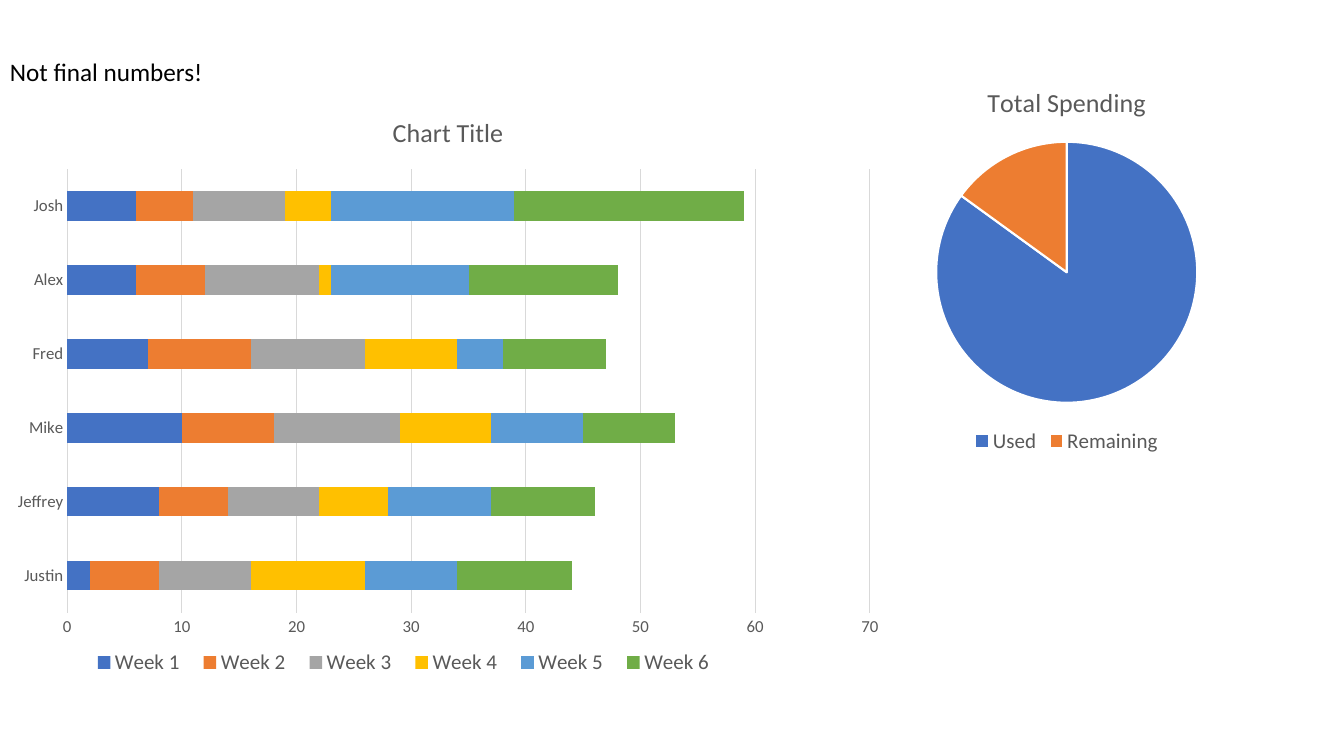
from lxml import etree
from pptx import Presentation
from pptx.chart.data import CategoryChartData
from pptx.dml.color import RGBColor
from pptx.enum.chart import XL_CHART_TYPE, XL_LEGEND_POSITION, XL_TICK_MARK
from pptx.enum.text import MSO_AUTO_SIZE
from pptx.oxml.ns import qn
from pptx.util import Inches, Pt

BAR_STACKED = XL_CHART_TYPE.BAR_STACKED
PIE = XL_CHART_TYPE.PIE
BOTTOM = XL_LEGEND_POSITION.BOTTOM
NO_TICKS = XL_TICK_MARK.NONE
FIT_TEXT = MSO_AUTO_SIZE.SHAPE_TO_FIT_TEXT

FONT = "Calibri"
COLORS = {
    "text": "000000",
    "label": "595959",
    "grid": "D9D9D9",
    "border": "FFFFFF",
    "blue": "4472C4",
    "orange": "ED7D31",
    "gray": "A5A5A5",
    "gold": "FFC000",
    "sky": "5B9BD5",
    "green": "70AD47",
}
PALETTE = ["blue", "orange", "gray", "gold", "sky", "green"]

PEOPLE = ["Justin", "Jeffrey", "Mike", "Fred", "Alex", "Josh"]
WEEKS = {
    "Week 1": [2, 8, 10, 7, 6, 6],
    "Week 2": [6, 6, 8, 9, 6, 5],
    "Week 3": [8, 8, 11, 10, 10, 8],
    "Week 4": [10, 6, 8, 8, 1, 4],
    "Week 5": [8, 9, 8, 4, 12, 16],
    "Week 6": [10, 9, 8, 9, 13, 20],
}
SPENDING = {"Total Spending": [85, 15]}


def rgb(name):
    return RGBColor.from_string(COLORS[name])


def style_font(font, size, color="label"):
    font.name = FONT
    font.size = Pt(size)
    font.bold = False
    font.color.rgb = rgb(color)


def fill_solid(part, color):
    part.format.fill.solid()
    part.format.fill.fore_color.rgb = rgb(color)


def style_line(line, color, width):
    line.color.rgb = rgb(color)
    line.width = Pt(width)


def add_chart(slide, kind, box, title, categories, series):
    data = CategoryChartData()
    data.categories = categories
    for name, values in series.items():
        data.add_series(name, values)
    chart = slide.shapes.add_chart(kind, *map(Inches, box), data).chart
    style_font(chart.font, 10, "text")
    chart.has_title = True
    title_run = chart.chart_title.text_frame.paragraphs[0].add_run()
    title_run.text = title
    style_font(title_run.font, 18.6)
    chart.chart_title.include_in_layout = False
    chart.has_legend = True
    chart.legend.position = BOTTOM
    chart.legend.include_in_layout = False
    style_font(chart.legend.font, 15)
    return chart


def place_legend(chart, left, top, width, height):
    legend = chart.legend._element
    for old in legend.findall(qn("c:layout")):
        legend.remove(old)
    layout = etree.Element(qn("c:layout"))
    manual = etree.SubElement(layout, qn("c:manualLayout"))
    settings = {"xMode": "edge", "yMode": "edge",
                "x": left, "y": top, "w": width, "h": height}
    for tag, value in settings.items():
        etree.SubElement(manual, qn(f"c:{tag}")).set("val", str(value))
    legend.find(qn("c:legendPos")).addnext(layout)


def style_axis(axis):
    axis.major_tick_mark = NO_TICKS
    axis.minor_tick_mark = NO_TICKS
    style_font(axis.tick_labels.font, 12)


def add_weekly_bars(slide):
    chart = add_chart(slide, BAR_STACKED, (0, 0.91, 8.89, 5.93),
                      "Chart Title", PEOPLE, WEEKS)
    place_legend(chart, 0.09, 0.92, 0.72, 0.07)
    plot = chart.plots[0]
    plot.gap_width = 150
    plot.overlap = 100
    plot.vary_by_categories = False
    for week, color in zip(plot.series, PALETTE):
        fill_solid(week, color)
        week.invert_if_negative = False
    people_axis, hours_axis = chart.category_axis, chart.value_axis
    style_axis(people_axis)
    style_axis(hours_axis)
    style_line(people_axis.format.line, "grid", 0.75)
    hours_axis.format.line.fill.background()
    hours_axis.has_major_gridlines = True
    style_line(hours_axis.major_gridlines.format.line, "grid", 0.75)
    hours_axis.minimum_scale = 0
    hours_axis.maximum_scale = 70
    hours_axis.major_unit = 10


def add_spending_pie(slide):
    chart = add_chart(slide, PIE, (7.67, 0.66, 5.82, 3.88),
                      "Total Spending", ["Used", "Remaining"], SPENDING)
    plot = chart.plots[0]
    plot.vary_by_categories = True
    for index, color in enumerate(PALETTE[:2]):
        wedge = plot.series[0].points[index]
        fill_solid(wedge, color)
        style_line(wedge.format.line, "border", 1.5)


def add_note(slide, text, box):
    note = slide.shapes.add_textbox(*map(Inches, box)).text_frame
    note.word_wrap = False
    note.auto_size = FIT_TEXT
    run = note.paragraphs[0].add_run()
    run.text = text
    style_font(run.font, 18, "text")


def main():
    deck = Presentation()
    deck.slide_width = Inches(13.33)
    deck.slide_height = Inches(7.5)
    slide = deck.slides.add_slide(deck.slide_layouts[6])
    add_weekly_bars(slide)
    add_note(slide, "Not final numbers!", (0, 0.51, 2.22, 0.4))
    add_spending_pie(slide)
    deck.save("out.pptx")


main()
